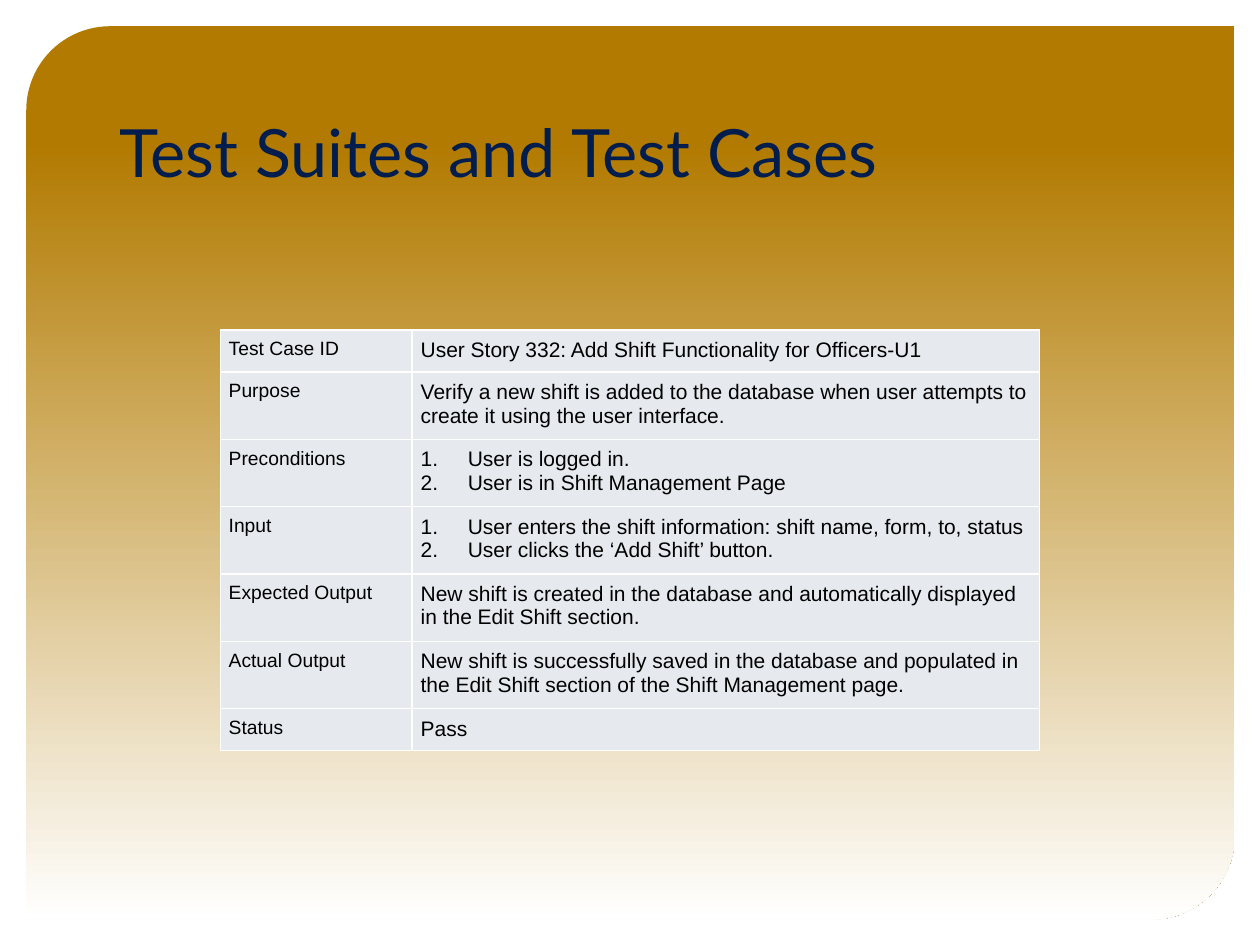
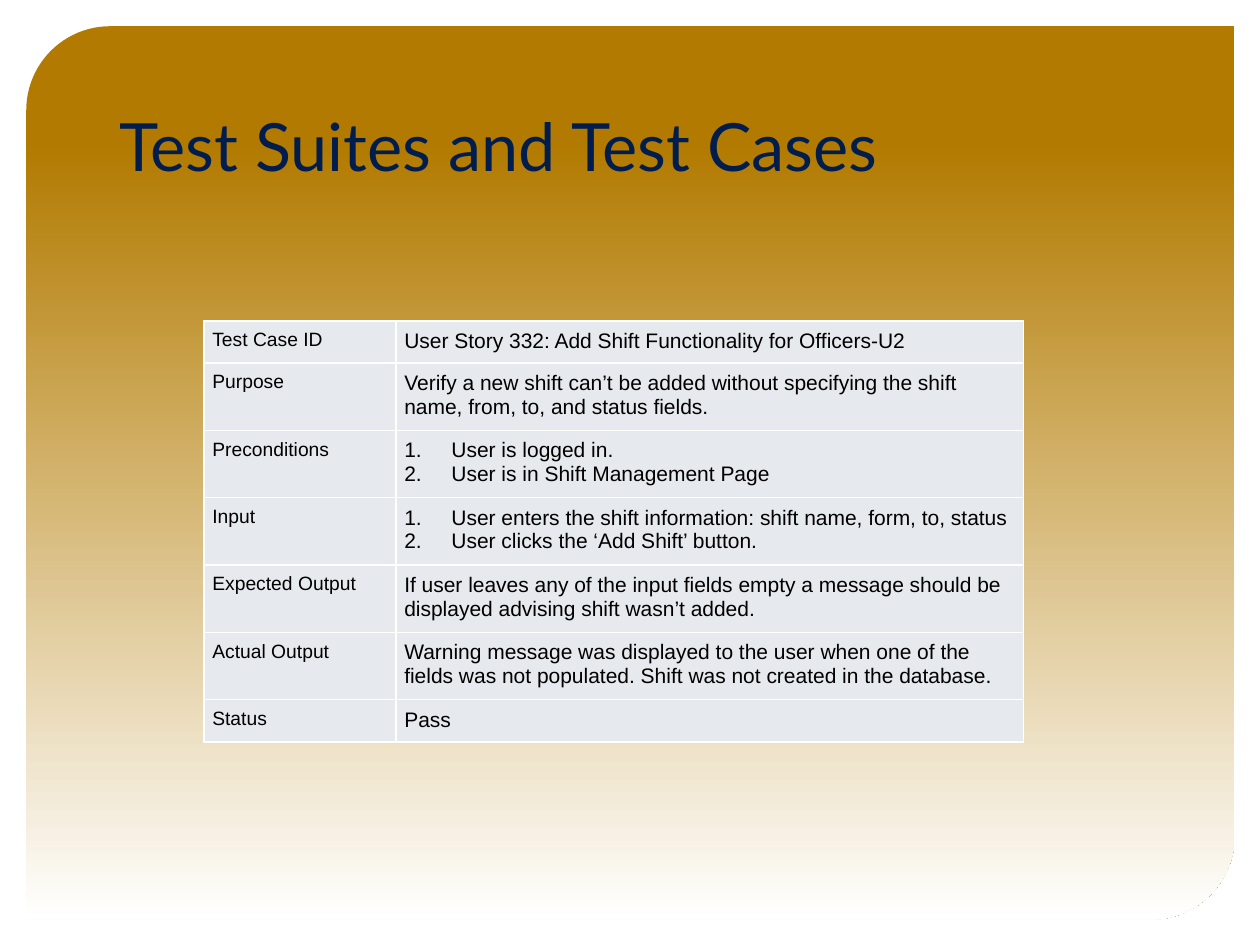
from copy import deepcopy

from lxml.etree import SubElement
from pptx import Presentation
from pptx.dml.color import RGBColor
from pptx.enum.shapes import MSO_SHAPE as SHAPE
from pptx.enum.text import MSO_ANCHOR as ANCHOR
from pptx.oxml.ns import qn
from pptx.util import Cm, Pt

COLORS = {"gold": "B27A00", "white": "FFFFFF", "navy": "001D4D",
          "cell": "E6E9ED", "text": "000000"}
TITLE_FONT, BODY_FONT = "Lato", "Arial"
TITLE = "Test Suites and Test Cases"
PANEL_BOX = (0.53, 0.53, 24.36, 18.01)
TITLE_BOX = (2.16, 1.07, 21.06, 2.9)
COL_WIDTHS = (3.87, 12.65)
ONE_LINE, TWO_LINES = 0.83, 1.3
CELL_INSET = 0.17
NUMBER_INDENT = 0.95

LABELS = ("Test Case ID", "Purpose", "Preconditions", "Input",
          "Expected Output", "Actual Output", "Status")
PRECONDITIONS = ["User is logged in.", "User is in Shift Management Page"]
INPUT = ["User enters the shift information: shift name, form, to, status",
         "User clicks the ‘Add Shift’ button."]

# Each case: table position, title's vertical inset, values in the order of LABELS
TEST_CASES = (
    ((4.44, 6.65), 0.13, (
        "User Story 332: Add Shift Functionality for Officers-U1",
        "Verify a new shift is added to the database when user attempts to "
        "create it using the user interface.",
        PRECONDITIONS,
        INPUT,
        "New shift is created in the database and automatically displayed "
        "in the Edit Shift section.",
        "New shift is successfully saved in the database and populated in "
        "the Edit Shift section of the Shift Management page.",
        "Pass")),
    ((4.11, 6.47), 0.25, (
        "User Story 332: Add Shift Functionality for Officers-U2",
        "Verify a new shift can’t be added without specifying the shift "
        "name, from, to, and status fields.",
        PRECONDITIONS,
        INPUT,
        "If user leaves any of the input fields empty a message should be "
        "displayed advising shift wasn’t added.",
        "Warning message was displayed to the user when one of the fields "
        "was not populated. Shift was not created in the database.",
        "Pass")),
)


def rgb(name):
    return RGBColor.from_string(COLORS[name])


def add_run(p, text, size, font, color):
    r = p.add_run()
    r.text = text
    r.font.size, r.font.name = Pt(size), font
    r.font.color.rgb = rgb(color)


def add_panel(s, box):
    """Rounded panel that fades downwards from gold to white."""
    sp = s.shapes.add_shape(SHAPE.ROUND_2_DIAG_RECTANGLE, *map(Cm, box))
    sp.shadow.inherit = False
    sp.adjustments[0], sp.adjustments[1] = 0.094, 0
    sp.line.fill.background()
    sp.fill.gradient()
    sp.fill.gradient_angle = 270
    gs_lst = sp.fill._fill._gradFill.find(qn("a:gsLst"))
    gs_lst.insert(1, deepcopy(gs_lst[0]))
    stops = ((0, "gold"), (0.13, "gold"), (1, "white"))
    for stop, (position, color) in zip(sp.fill.gradient_stops, stops):
        stop.position = position
        stop.color.rgb = rgb(color)


def add_title(s, box, inset):
    tf = s.shapes.add_textbox(*map(Cm, box)).text_frame
    tf.word_wrap = True
    tf.vertical_anchor = ANCHOR.BOTTOM
    tf.margin_left = tf.margin_right = Cm(0.25)
    tf.margin_top = tf.margin_bottom = Cm(inset)
    add_run(tf.paragraphs[0], TITLE, 38, TITLE_FONT, "navy")


def number_paragraph(p):
    ppr = p._p.get_or_add_pPr()
    ppr.set("marL", str(Cm(NUMBER_INDENT)))
    ppr.set("indent", str(-Cm(NUMBER_INDENT)))
    color = SubElement(ppr, qn("a:buClr"))
    SubElement(color, qn("a:srgbClr"), val=COLORS["text"])
    SubElement(ppr, qn("a:buFont"), typeface=BODY_FONT)
    SubElement(ppr, qn("a:buAutoNum"), type="arabicPeriod")


def style_cell(cell):
    cell.margin_left = cell.margin_right = Cm(CELL_INSET)
    cell.margin_top = cell.margin_bottom = Cm(CELL_INSET)
    tcpr = cell._tc.get_or_add_tcPr()
    for side in ("lnL", "lnR", "lnT", "lnB"):
        ln = SubElement(tcpr, qn(f"a:{side}"), w=str(Pt(1)))
        fill = SubElement(ln, qn("a:solidFill"))
        SubElement(fill, qn("a:srgbClr"), val=COLORS["white"])
    cell.fill.solid()
    cell.fill.fore_color.rgb = rgb("cell")


def fill_cell(cell, value, size):
    """Write a text, or a list of texts as numbered steps."""
    style_cell(cell)
    tf = cell.text_frame
    numbered = isinstance(value, list)
    for i, text in enumerate(value if numbered else [value]):
        p = tf.add_paragraph() if i else tf.paragraphs[0]
        if numbered:
            number_paragraph(p)
        add_run(p, text, size, BODY_FONT, "text")


def add_case_table(s, position, values):
    heights = [ONE_LINE if label in ("Test Case ID", "Status") else TWO_LINES
               for label in LABELS]
    box = (*position, sum(COL_WIDTHS), sum(heights))
    table = s.shapes.add_table(len(LABELS), len(COL_WIDTHS), *map(Cm, box)).table
    table.first_row = table.horz_banding = False
    for column, width in zip(table.columns, COL_WIDTHS):
        column.width = Cm(width)
    for row, height, label, value in zip(table.rows, heights, LABELS, values):
        row.height = Cm(height)
        fill_cell(row.cells[0], label, 11)
        fill_cell(row.cells[1], value, 12)


def add_case_slide(prs, table_position, title_inset, values):
    s = prs.slides.add_slide(prs.slide_layouts[6])
    add_panel(s, PANEL_BOX)
    add_title(s, TITLE_BOX, title_inset)
    add_case_table(s, table_position, values)


def main():
    prs = Presentation()
    prs.slide_width, prs.slide_height = Cm(25.4), Cm(19.05)
    for case in TEST_CASES:
        add_case_slide(prs, *case)
    prs.save("out.pptx")


if __name__ == "__main__":
    main()
